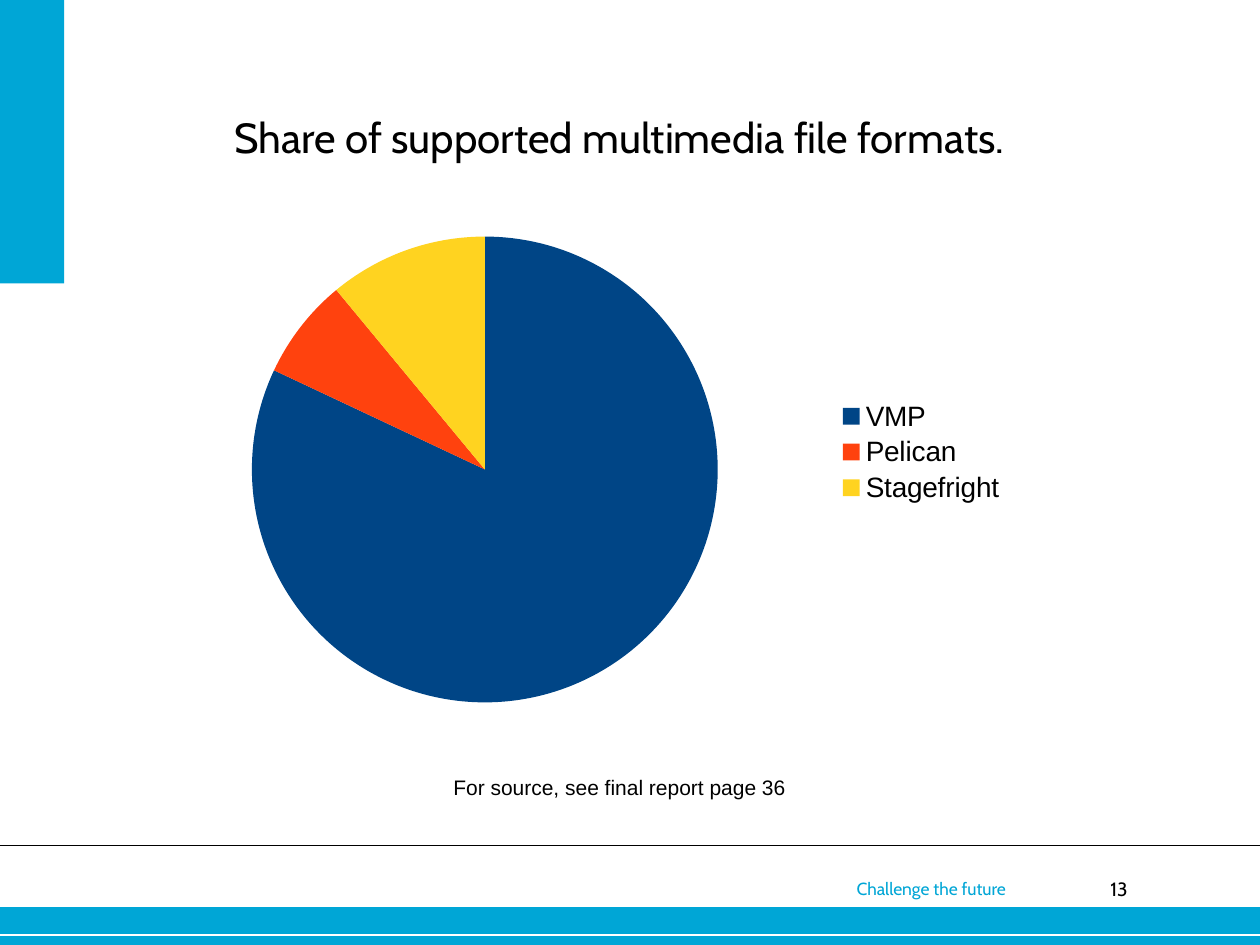
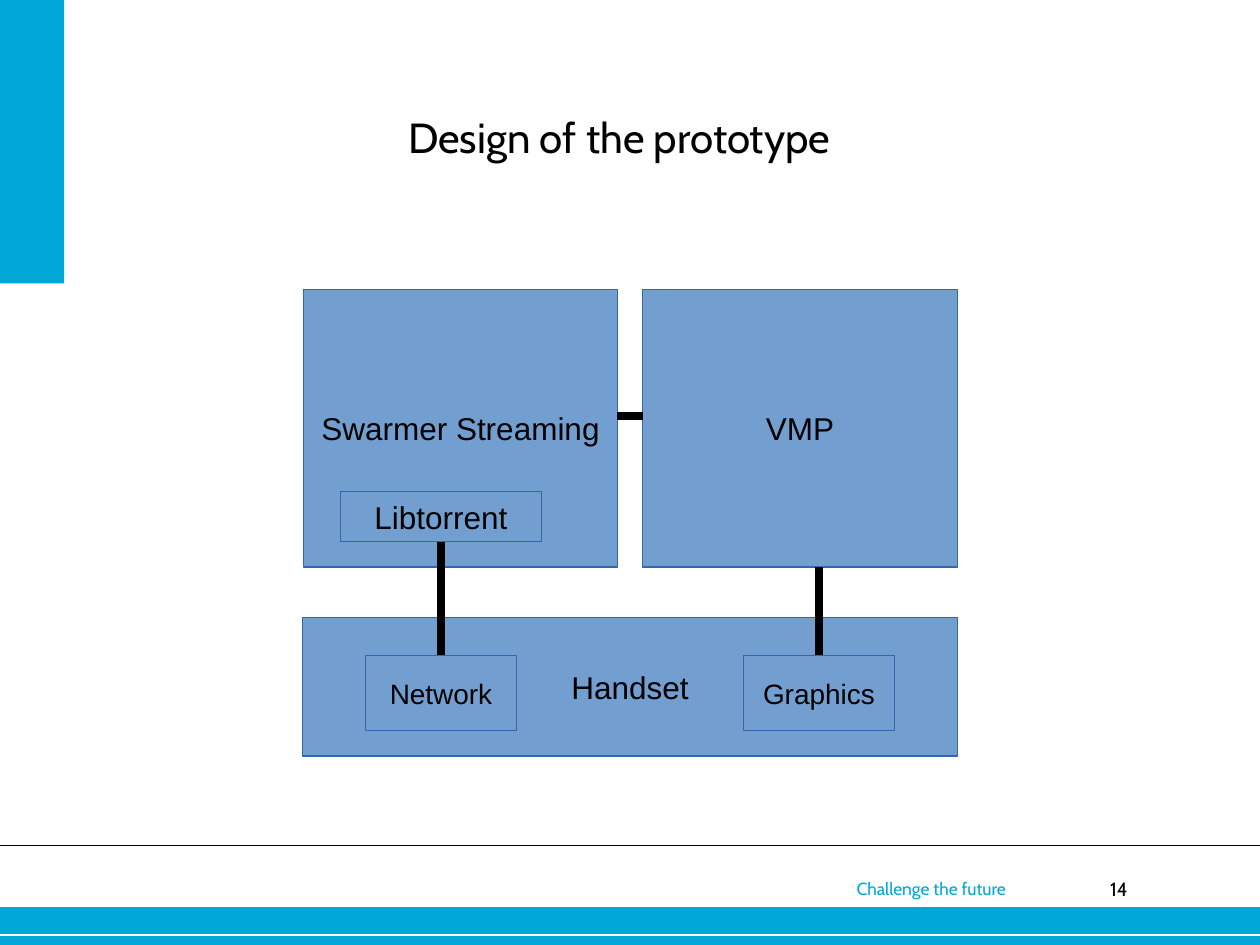
from lxml import etree
from pptx import Presentation, util as u
from pptx.chart import data
from pptx.dml import color
from pptx.enum import chart as ch, shapes, text
from pptx.oxml import ns

PX = 9144  # EMU per px, 100 px to the inch
WIDTH, HEIGHT = 1000, 750
COLOURS = {
    "cyan": "00A6D6", "black": "000000", "white": "FFFFFF",
    "box": "729FCF", "box_edge": "3465AF",
    "navy": "004586", "orange": "FF420E", "yellow": "FFD320",
}
SIDES = {"top": 0, "left": 1, "bottom": 2, "right": 3}
NO_INSETS = dict.fromkeys(("margin_left", "margin_top", "margin_right", "margin_bottom"), 0)


# ---- Helpers ----
def px(*lengths):
    return [u.Emu(length * PX) for length in lengths]


def rgb(name):
    return color.RGBColor.from_string(COLOURS[name])


def apply(target, formats):
    for attribute, value in formats.items():
        setattr(target, attribute, value)


def style_font(font, size, face="Arial", colour="black"):
    apply(font, {"size": u.Pt(size), "name": face})
    font.color.rgb = rgb(colour)


def write(frame, words, size, face="Arial", colour="black", align="LEFT", **formats):
    apply(frame, {"word_wrap": True, **formats})
    paragraph = frame.paragraphs[0]
    paragraph.alignment = text.PP_ALIGN[align]
    run = paragraph.add_run()
    run.text = words
    style_font(run.font, size, face, colour)


def add_label(slide, place, words, size, **formats):
    label = slide.shapes.add_textbox(*px(*place))
    write(label.text_frame, words, size, **formats)


def add_band(slide, place, fill):
    band = slide.shapes.add_shape(shapes.MSO_SHAPE.RECTANGLE, *px(*place))
    band.shadow.inherit = False
    band.fill.solid()
    band.fill.fore_color.rgb = rgb(fill)
    band.line.fill.background()
    return band


def add_component(slide, place, words, size=18):
    component = add_band(slide, place, "box")
    component.line.color.rgb = rgb("box_edge")
    component.line.width = 0
    write(component.text_frame, words, size, align="CENTER", word_wrap=False,
          vertical_anchor=text.MSO_ANCHOR.MIDDLE)
    return component


def add_line(slide, start, end, colour="black", weight=4.31):
    line = slide.shapes.add_connector(shapes.MSO_CONNECTOR.STRAIGHT, *px(*start, *end))
    line.line.color.rgb = rgb(colour)
    line.line.width = u.Pt(weight)
    etree.SubElement(line._element.spPr, ns.qn("a:effectLst"))
    return line


def set_layout(parent, index, **fractions):
    """Place a chart part by fractions of the chart area."""
    for old in parent.findall(ns.qn("c:layout")):
        parent.remove(old)
    layout = etree.Element(ns.qn("c:layout"))
    manual = etree.SubElement(layout, ns.qn("c:manualLayout"))
    settings = {"xMode": "edge", "yMode": "edge", **fractions}
    for tag, value in settings.items():
        etree.SubElement(manual, ns.qn(f"c:{tag}")).set("val", str(value))
    parent.insert(index, layout)


def add_pie(slide, place, shares):
    """Draw shares given as (category, value, colour)."""
    names, values, fills = zip(*shares)
    pie_data = data.CategoryChartData()
    pie_data.categories = names
    pie_data.add_series("Series 1", values)
    pie = slide.shapes.add_chart(ch.XL_CHART_TYPE.PIE, *px(*place), pie_data).chart
    apply(pie, {"has_title": False, "has_legend": True})
    style_font(pie.font, 10)
    apply(pie.legend, {"position": ch.XL_LEGEND_POSITION.RIGHT, "include_in_layout": False})
    style_font(pie.legend.font, 16)
    plot = pie.plots[0]
    plot.vary_by_categories = True
    for index, fill in enumerate(fills):
        wedge = plot.series[0].points[index].format
        wedge.fill.solid()
        wedge.fill.fore_color.rgb = rgb(fill)
        wedge.line.fill.background()
    set_layout(plot._element.getparent(), 0, x=0.05, y=0.08, w=0.53, h=0.85)
    set_layout(pie.legend._element, 1, x=0.71, y=0.37)


# ---- Shared slide frame ----
def add_slide(deck, title, number):
    slide = deck.slides.add_slide(deck.slide_layouts[6])
    add_label(slide, (846, 696, 49, 28), str(number), 11, face="Cabin", align="RIGHT", **NO_INSETS)
    add_band(slide, (0, 720, WIDTH, 30), "cyan")
    add_line(slide, (0, 742), (WIDTH, 742), "white", 0.75)
    add_line(slide, (0, 671), (WIDTH, 671), "black", 1)
    add_band(slide, (0, 0, 51, 225), "cyan")
    add_label(slide, (670, 692, 218, 27), "Challenge the future", 10, face="Cabin", colour="cyan")
    add_label(slide, (100, 50, 783, 117), title, 24, face="Cabin", align="CENTER",
              vertical_anchor=text.MSO_ANCHOR.MIDDLE, **NO_INSETS)
    return slide


# ---- Slides ----
def build_formats(deck):
    slide = add_slide(deck, "Share of supported multimedia file formats.", 13)
    add_label(slide, (350, 610, 300, 29), "For source, see final report page 36", 12)
    add_pie(slide, (164, 153, 701, 435),
            [("VMP", 82, "navy"), ("Pelican", 7, "orange"), ("Stagefright", 11, "yellow")])


def build_prototype(deck):
    slide = add_slide(deck, "Design of the prototype", 14)
    # Main components
    add_component(slide, (240, 490, 520, 110), "Handset")
    add_component(slide, (510, 230, 250, 220), "VMP")
    add_component(slide, (241, 230, 249, 220), "Swarmer Streaming")
    # Links lie beneath the inner components
    network_link = add_line(slide, (350, 430), (350, 520))
    graphics_link = add_line(slide, (650, 450), (650, 520))
    add_line(slide, (490, 330), (510, 330))
    # Inner components
    network = add_component(slide, (290, 520, 120, 60), "Network", 16)
    graphics = add_component(slide, (590, 520, 120, 60), "Graphics", 16)
    libtorrent = add_component(slide, (270, 390, 160, 40), "Libtorrent")
    network_link.begin_connect(libtorrent, SIDES["bottom"])
    network_link.end_connect(network, SIDES["top"])
    graphics_link.end_connect(graphics, SIDES["top"])


def main():
    deck = Presentation()
    deck.slide_width, deck.slide_height = px(WIDTH, HEIGHT)
    build_formats(deck)
    build_prototype(deck)
    deck.save("out.pptx")


if __name__ == "__main__":
    main()
